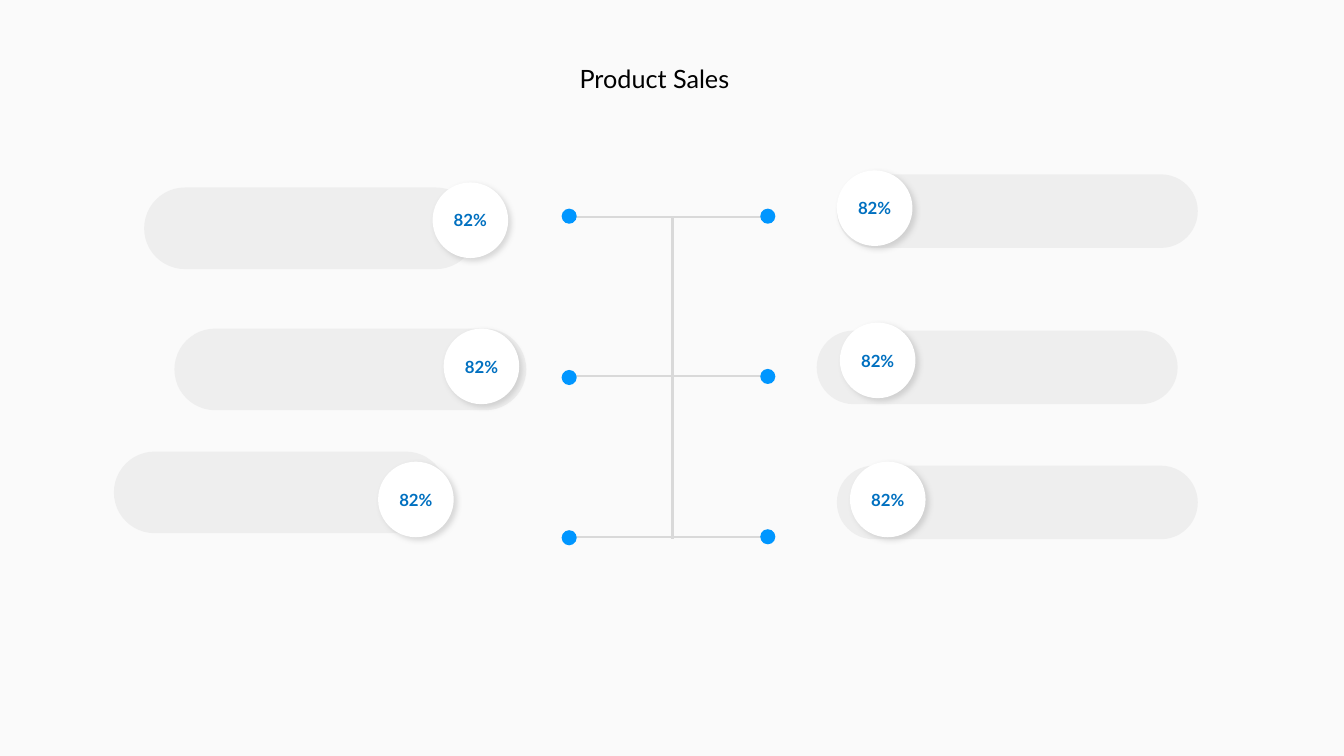
from lxml import etree
from pptx import Presentation
from pptx.dml.color import RGBColor
from pptx.enum.shapes import MSO_CONNECTOR, MSO_SHAPE
from pptx.enum.text import MSO_ANCHOR, MSO_AUTO_SIZE, PP_ALIGN
from pptx.oxml import parse_xml
from pptx.oxml.ns import nsdecls, qn
from pptx.util import Inches, Pt

WHITE = RGBColor(0xFF, 0xFF, 0xFF)
BLACK = RGBColor(0x00, 0x00, 0x00)
BACKGROUND = RGBColor(0xF2, 0xF2, 0xF2)
GREY = RGBColor(0xD9, 0xD9, 0xD9)
LABEL_BLUE = RGBColor(0x00, 0x70, 0xC0)
DOT_BLUE = RGBColor(0x00, 0x96, 0xFF)

BADGE_SIZE = 0.75
DOT_SIZE = 0.15
BADGE_FONT = {"name": "Lato", "size": Pt(12), "bold": True}
TITLE_FONT = {"name": "Lato", "size": Pt(18)}
SHADOW = f"""<a:effectLst {nsdecls("a")}>
  <a:outerShdw blurRad="{Pt(4)}" dist="{Pt(3)}" dir="2700000" algn="tl" rotWithShape="0">
    <a:srgbClr val="A6A6A6"><a:alpha val="40000"/></a:srgbClr>
  </a:outerShdw>
</a:effectLst>"""


def add_filled_shape(shapes, kind, left, top, width, height, color):
    shape = shapes.add_shape(kind, Inches(left), Inches(top), Inches(width), Inches(height))
    shape.shadow.inherit = False
    shape.fill.solid()
    shape.fill.fore_color.rgb = color
    shape.line.fill.background()
    return shape


def set_opacity(element, percent):
    """Make the first solid colour inside the element partly transparent."""
    color = next(element.iter(qn("a:srgbClr")))
    etree.SubElement(color, qn("a:alpha")).set("val", str(percent * 1000))


presentation = Presentation()
presentation.slide_width = Inches(13.33)
presentation.slide_height = Inches(7.5)
slide = presentation.slides.add_slide(presentation.slide_layouts[6])
background_fill = slide.background.fill
background_fill.solid()
background_fill.fore_color.rgb = BACKGROUND
set_opacity(slide.element, 32)

# Pale bars: left, top, width, height
bars = [
    (1.43, 1.86, 3.3, 0.81),
    (8.3, 1.73, 3.58, 0.73),
    (1.73, 3.26, 3.49, 0.81),
    (1.13, 4.48, 3.3, 0.81),
    (8.1, 3.28, 3.58, 0.73),
    (8.3, 4.62, 3.58, 0.73),
]
for bar_box in bars:
    bar = add_filled_shape(slide.shapes, MSO_SHAPE.ROUNDED_RECTANGLE, *bar_box, GREY)
    bar.adjustments[0] = 0.5
    set_opacity(bar.element, 35)

# Round percentage badges: left, top, label
badges = [
    (4.29, 1.81, "82%"),
    (4.4, 3.26, "82%"),
    (3.75, 4.58, "82%"),
    (8.3, 1.69, "82%"),
    (8.33, 3.2, "82%"),
    (8.43, 4.58, "82%"),
]
for left, top, label in badges:
    badge = add_filled_shape(slide.shapes, MSO_SHAPE.OVAL, left, top, BADGE_SIZE, BADGE_SIZE, WHITE)
    properties = badge.element.spPr
    properties.replace(properties.find(qn("a:effectLst")), parse_xml(SHADOW))
    frame = badge.text_frame
    frame.margin_left = frame.margin_right = 0
    frame.vertical_anchor = MSO_ANCHOR.MIDDLE
    paragraph = frame.paragraphs[0]
    paragraph.text = label
    paragraph.alignment = PP_ALIGN.CENTER
    for name, value in BADGE_FONT.items():
        setattr(paragraph.font, name, value)
    paragraph.font.color.rgb = LABEL_BLUE

title = slide.shapes.add_textbox(Inches(5.65), Inches(0.58), Inches(1.71), Inches(0.4))
title.text_frame.word_wrap = True
title.text_frame.auto_size = MSO_AUTO_SIZE.SHAPE_TO_FIT_TEXT
paragraph = title.text_frame.paragraphs[0]
paragraph.text = "Product Sales"
for name, value in TITLE_FONT.items():
    setattr(paragraph.font, name, value)
paragraph.font.color.rgb = BLACK

# Central tree: three branches, one trunk, and a dot at each branch end
tree = slide.shapes.add_group_shape()
tree_lines = [
    (5.65, 2.15, 7.64, 2.15),
    (5.65, 3.73, 7.64, 3.73),
    (5.67, 5.33, 7.66, 5.33),
    (6.67, 2.15, 6.67, 5.35),
]
for ends in tree_lines:
    line = tree.shapes.add_connector(MSO_CONNECTOR.STRAIGHT, *map(Inches, ends))
    line.line.color.rgb = GREY
    line.line.width = Pt(1.5)
    etree.SubElement(line.element.spPr, qn("a:effectLst"))

for left, tops in [(5.57, (2.07, 3.67, 5.26)), (7.54, (2.07, 3.66, 5.25))]:
    for top in tops:
        add_filled_shape(tree.shapes, MSO_SHAPE.OVAL, left, top, DOT_SIZE, DOT_SIZE, DOT_BLUE)

presentation.save("out.pptx")
